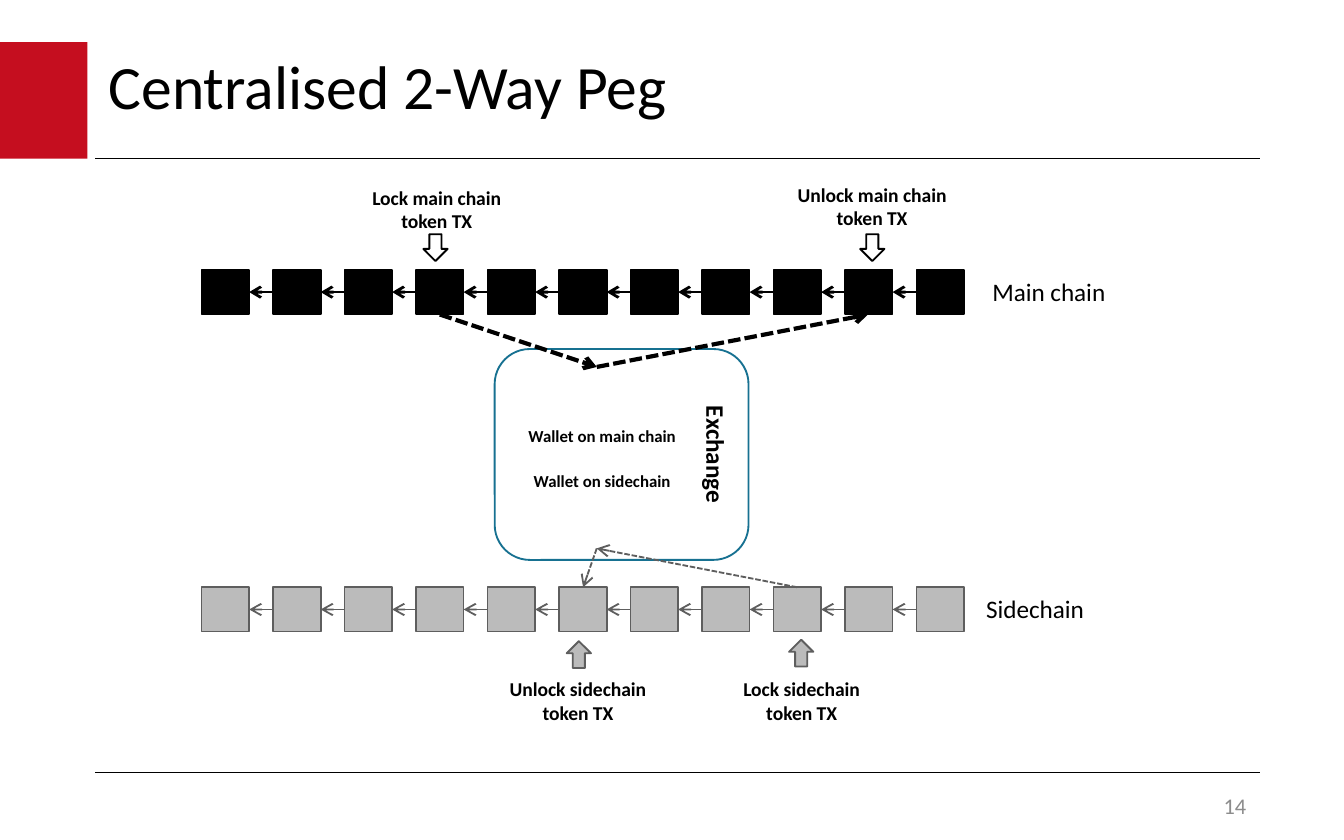
from lxml.etree import SubElement
from pptx import Presentation
from pptx.dml.color import RGBColor
from pptx.enum.dml import MSO_LINE
from pptx.enum.shapes import MSO_CONNECTOR, MSO_SHAPE
from pptx.enum.text import MSO_ANCHOR, PP_ALIGN
from pptx.oxml.ns import qn
from pptx.util import Pt

FONT = "Calibri"
BLACK, GREY, SILVER, WHITE = "000000", "5E5E5E", "BBBBBB", "FFFFFF"
RED, TEAL, PALE = "C50E1F", "177191", "8C8C8C"

BLOCKS = 11
CHAIN_LEFT, PITCH = 108, 38.3
BLOCK_W, BLOCK_H = 25.5, 23.8

# top, fill, line colour, link width
CHAINS = [
    (144.6, BLACK, BLACK, 1.5),
    (314.6, SILVER, GREY, 1),
]
# text, left, top, width, height, size, bold
LABELS = [
    ("Main chain", 516.2, 144.7, 91.4, 23.8, 13.5, False),
    ("Sidechain", 520.6, 314.6, 67.7, 23.8, 13.5, False),
    ("Wallet on main chain", 273.6, 224.6, 97.9, 18, 9, True),
    ("Wallet on sidechain", 277.9, 248.4, 89.3, 18, 9, True),
]
# text, left, top, width
NOTES = [
    ("Lock main chain token TX", 182.9, 95.8, 102.2),
    ("Unlock main chain token TX", 411.8, 94.3, 110.9),
    ("Unlock sidechain token TX", 254.2, 359.3, 110.9),
    ("Lock sidechain token TX", 378, 359.3, 103),
]
# shape, left, top, fill, line colour
POINTERS = [
    (MSO_SHAPE.DOWN_ARROW, 226.8, 125.5, WHITE, BLACK),
    (MSO_SHAPE.DOWN_ARROW, 460.8, 125.5, WHITE, BLACK),
    (MSO_SHAPE.UP_ARROW, 422.7, 342.7, SILVER, GREY),
    (MSO_SHAPE.UP_ARROW, 303.6, 343.5, SILVER, GREY),
]
# from, to, colour, width
TRANSFERS = [
    ((235.6, 168.5), (319.7, 196.6), BLACK, 2.25),
    ((319.7, 196.6), (465, 168.5), BLACK, 2.25),
    ((319.7, 293.8), (312.4, 314.6), GREY, 1),
    ((427, 314.6), (319.7, 293.8), GREY, 1),
]


def rgb(value):
    return RGBColor.from_string(value)


def format_text(sp, text, size, bold=False, color=BLACK, align=PP_ALIGN.CENTER,
                anchor=MSO_ANCHOR.TOP, inset=7.2):
    tf = sp.text_frame
    tf.word_wrap = True
    tf.vertical_anchor = anchor
    tf.margin_left = tf.margin_right = Pt(inset)
    tf.margin_top = tf.margin_bottom = Pt(3.6)
    p = tf.paragraphs[0]
    p.text = text
    p.alignment = align
    p.font.name, p.font.size, p.font.bold = FONT, Pt(size), bold
    p.font.color.rgb = rgb(color)
    return p


def add_text(s, text, left, top, width, height, size, bold=False, **style):
    sp = s.shapes.add_textbox(Pt(left), Pt(top), Pt(width), Pt(height))
    format_text(sp, text, size, bold, **style)


def add_box(s, kind, left, top, width, height, fill, line=None):
    sp = s.shapes.add_shape(kind, Pt(left), Pt(top), Pt(width), Pt(height))
    sp.shadow.inherit = False
    sp.fill.solid()
    sp.fill.fore_color.rgb = rgb(fill)
    if line:
        sp.line.color.rgb = rgb(line)
        sp.line.width = Pt(1)
    else:
        sp.line.fill.background()
    return sp


def add_line(s, start, end, color, width, arrow=False, dashed=False):
    ends = [Pt(v) for v in (*start, *end)]
    c = s.shapes.add_connector(MSO_CONNECTOR.STRAIGHT, *ends)
    c.line.color.rgb = rgb(color)
    c.line.width = Pt(width)
    if dashed:
        c.line.dash_style = MSO_LINE.SQUARE_DOT
    if arrow:
        SubElement(c.line._get_or_add_ln(), qn("a:tailEnd"), type="arrow")
    SubElement(c._element.spPr, qn("a:effectLst"))


def add_chain(s, top, fill, line, link_width):
    lefts = [CHAIN_LEFT + i * PITCH for i in range(BLOCKS)]
    for left in lefts:
        add_box(s, MSO_SHAPE.RECTANGLE, left, top, BLOCK_W, BLOCK_H, fill, line)
    y = top + BLOCK_H / 2
    for before, after in zip(lefts, lefts[1:]):
        add_line(s, (after, y), (before + BLOCK_W, y), line, link_width, arrow=True)


def main():
    prs = Presentation()
    prs.slide_width, prs.slide_height = Pt(720), Pt(450)
    s = prs.slides.add_slide(prs.slide_layouts[5])

    add_box(s, MSO_SHAPE.RECTANGLE, 0, 22.5, 46.8, 62.5, RED)
    for y in (85, 414):
        add_line(s, (51, y), (675, y), BLACK, 0.75)

    title = s.shapes.title
    title.left, title.top, title.width, title.height = Pt(51), Pt(22.5), Pt(522), Pt(51)
    p = format_text(title, "Centralised 2-Way Peg", 33, align=PP_ALIGN.LEFT,
                    anchor=MSO_ANCHOR.MIDDLE)
    p.line_spacing = 0.9

    for chain in CHAINS:
        add_chain(s, *chain)

    exchange = add_box(s, MSO_SHAPE.ROUNDED_RECTANGLE, 276.5, 175.5, 113, 136, WHITE, TEAL)
    exchange.rotation = 90
    format_text(exchange, "Exchange", 13.5, bold=True)

    for label in LABELS:
        add_text(s, *label)
    for transfer in TRANSFERS:
        add_line(s, *transfer, arrow=True, dashed=True)
    for text, left, top, width in NOTES:
        add_text(s, text, left, top, width, 32.4, 10.5, True, inset=9)
    for kind, left, top, fill, line in POINTERS:
        add_box(s, kind, left, top, 13, 14.4, fill, line)

    add_text(s, "14", 528.5, 422.6, 146.2, 18, 12, color=PALE,
             align=PP_ALIGN.RIGHT, anchor=MSO_ANCHOR.MIDDLE)
    prs.save("out.pptx")


if __name__ == "__main__":
    main()
